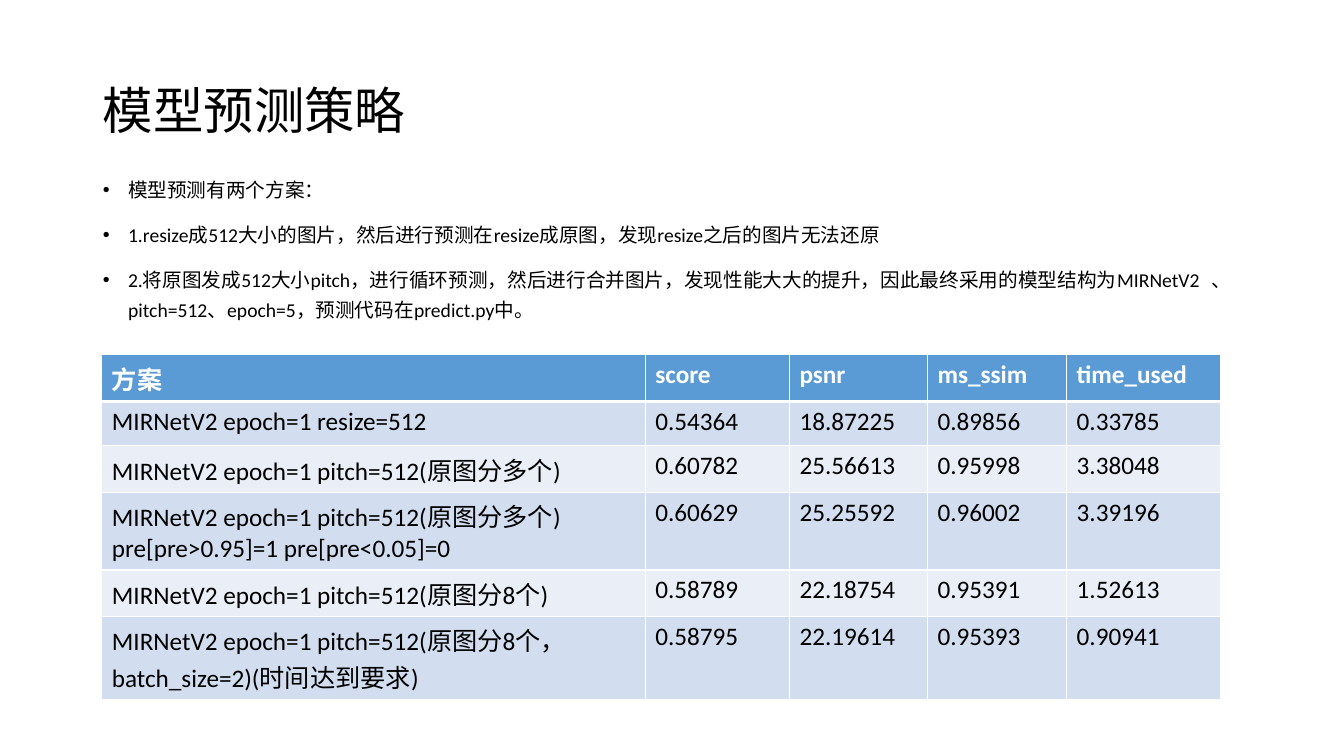
from lxml.etree import SubElement
from pptx import Presentation
from pptx.dml.color import RGBColor
from pptx.enum.text import MSO_ANCHOR, MSO_AUTO_SIZE, PP_ALIGN
from pptx.oxml.ns import qn
from pptx.util import Inches, Pt

FONT = "Calibri"
BLACK = RGBColor(0x00, 0x00, 0x00)
WHITE = RGBColor(0xFF, 0xFF, 0xFF)
BLUE = RGBColor(0x5B, 0x9B, 0xD5)
PALE = RGBColor(0xD2, 0xDE, 0xEF)
LIGHT = RGBColor(0xEA, 0xEF, 0xF7)

TITLE = "模型预测策略"
POINTS = [
    "模型预测有两个方案：",
    "1.resize成512大小的图片，然后进行预测在resize成原图，发现resize之后的图片无法还原",
    "2.将原图发成512大小pitch，进行循环预测，然后进行合并图片，发现性能大大的提升，"
    "因此最终采用的模型结构为MIRNetV2\t、pitch=512、epoch=5，预测代码在predict.py中。",
]
ROWS = [
    ("方案", "score", "psnr", "ms_ssim", "time_used"),
    ("MIRNetV2 epoch=1 resize=512", "0.54364", "18.87225", "0.89856", "0.33785"),
    ("MIRNetV2 epoch=1 pitch=512(原图分多个)", "0.60782", "25.56613", "0.95998", "3.38048"),
    ("MIRNetV2 epoch=1 pitch=512(原图分多个)\vpre[pre>0.95]=1 pre[pre<0.05]=0",
     "0.60629", "25.25592", "0.96002", "3.39196"),
    ("MIRNetV2 epoch=1 pitch=512(原图分8个)", "0.58789", "22.18754", "0.95391", "1.52613"),
    ("MIRNetV2 epoch=1 pitch=512(原图分8个，batch_size=2)(时间达到要求)",
     "0.58795", "22.19614", "0.95393", "0.90941"),
]
WIDTHS = [5.39, 1.43, 1.37, 1.38, 1.53]
HEIGHTS = [0.44, 0.44, 0.44, 0.77, 0.44, 0.77]


def style(para, size, color=BLACK, bold=False):
    for run in para.runs:
        font = run.font
        font.name, font.size, font.bold = FONT, Pt(size), bold
        font.color.rgb = color


def place(shape, left, top, width, height):
    shape.left, shape.top = Inches(left), Inches(top)
    shape.width, shape.height = Inches(width), Inches(height)
    shape.text_frame.auto_size = MSO_AUTO_SIZE.NONE


def add_title(slide):
    shape = slide.shapes.title
    place(shape, 0.92, 0.4, 11.5, 1.45)
    frame = shape.text_frame
    frame.vertical_anchor = MSO_ANCHOR.MIDDLE
    frame.text = TITLE
    para = frame.paragraphs[0]
    para.alignment = PP_ALIGN.LEFT
    para.line_spacing = 0.9
    style(para, 36)


def add_list(slide):
    body = slide.placeholders[1]
    place(body, 0.92, 1.65, 11.5, 4.76)
    frame = body.text_frame
    for i, point in enumerate(POINTS):
        para = frame.add_paragraph() if i else frame.paragraphs[0]
        para.text = point
        para.line_spacing = 1.3
        para.space_before = Pt(10)
        style(para, 14)
        # Hanging indent for the bullet
        props = para._p.get_or_add_pPr()
        props.set("marL", str(Inches(0.25)))
        props.set("indent", str(-Inches(0.25)))


def set_edges(cell, top, bottom):
    props = cell._tc.get_or_add_tcPr()
    for side, width in (("L", 1), ("R", 1), ("T", top), ("B", bottom)):
        line = SubElement(props, qn("a:ln" + side), w=str(Pt(width)))
        fill = SubElement(line, qn("a:solidFill"))
        SubElement(fill, qn("a:srgbClr"), val=str(WHITE))


def fill_cell(cell, text, row):
    head = row == 0
    cell.text = text
    style(cell.text_frame.paragraphs[0], 18, WHITE if head else BLACK, head)
    set_edges(cell, 3 if row == 1 else 1, 3 if head else 1)
    cell.fill.solid()
    cell.fill.fore_color.rgb = BLUE if head else PALE if row % 2 else LIGHT


def add_scores(slide):
    frame = slide.shapes.add_table(
        len(ROWS), len(WIDTHS), Inches(1.01), Inches(3.52),
        Inches(sum(WIDTHS)), Inches(sum(HEIGHTS)))
    table = frame.table
    for col, width in zip(table.columns, WIDTHS):
        col.width = Inches(width)
    for row, height in zip(table.rows, HEIGHTS):
        row.height = Inches(height)
    for r, texts in enumerate(ROWS):
        for c, text in enumerate(texts):
            fill_cell(table.cell(r, c), text, r)


def main():
    deck = Presentation()
    deck.slide_width, deck.slide_height = Inches(13.33), Inches(7.5)
    slide = deck.slides.add_slide(deck.slide_layouts[1])
    # Heading and list
    add_title(slide)
    add_list(slide)
    # Table of results
    add_scores(slide)
    deck.save("out.pptx")


if __name__ == "__main__":
    main()
